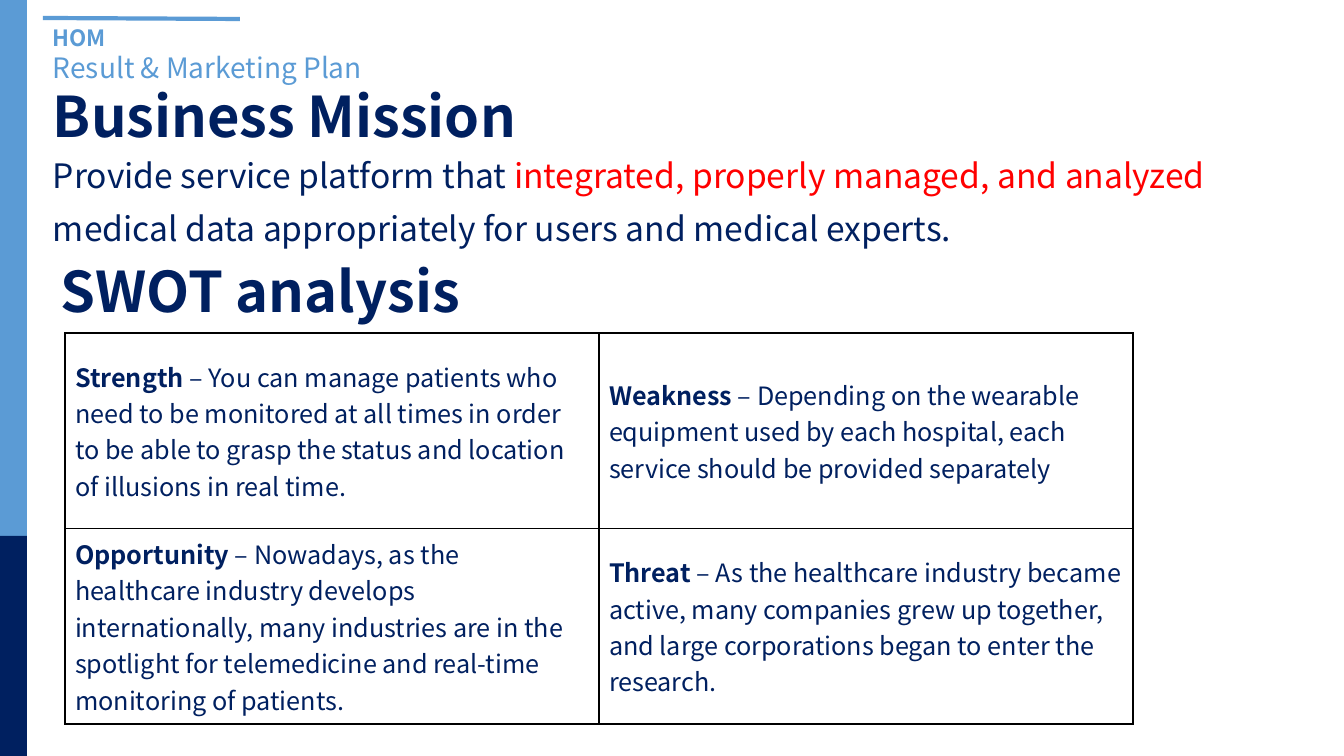
import dataclasses
import typing

import lxml.etree
import pptx
import pptx.dml.color
import pptx.enum.shapes
import pptx.enum.text
import pptx.oxml
import pptx.oxml.ns
import pptx.util

SCALE = 914400 / 100.8
FONT = "Noto Sans CJK KR"
NAVY, BLUE, RED, BLACK = "002060", "5B9BD5", "FF0000", "000000"
ANCHOR = pptx.enum.text.MSO_ANCHOR


@dataclasses.dataclass(frozen=True)
class Run:
    """A piece of text with one look."""
    text: str
    size: int
    color: str = NAVY
    bold: bool = False


@dataclasses.dataclass(frozen=True)
class Band:
    """A filled bar on the left edge."""
    top: int
    height: int
    color: str


@dataclasses.dataclass(frozen=True)
class Label:
    """A text box with one paragraph."""
    left: int
    top: int
    width: int
    height: int
    runs: tuple[Run, ...]
    spacing: float = 1.0
    before: int = 0
    middle: bool = False
    grow: bool = False


class Quad(typing.NamedTuple):
    """One cell of the SWOT table."""
    head: str
    body: str


BAND_WIDTH = 27
BANDS = (Band(0, 536, BLUE), Band(536, 220, NAVY))

LABELS = (
    Label(43, 46, 467, 44, (Run("Result & Marketing Plan", 20, BLUE),), grow=True),
    Label(43, 19, 215, 37, (Run("HOM", 16, BLUE, True),), grow=True),
    Label(43, 46, 1159, 146, (Run("Business Mission", 40, bold=True),), 0.9, middle=True),
    Label(43, 138, 1255, 480, (
        Run("Provide service platform that ", 24),
        Run("integrated, properly managed, and analyzed ", 24, RED),
        Run("medical data appropriately for users and medical experts.", 24),
    ), 1.3, 10),
    Label(51, 221, 1159, 146, (Run("SWOT analysis", 40, bold=True),), 0.9, middle=True),
)

SWOT = (
    (
        Quad("Strength", "You can manage patients who need to be monitored at all times in order "
             "to be able to grasp the status and location of illusions in real time."),
        Quad("Weakness", "Depending on the wearable equipment used by each hospital, "
             "each service should be provided separately"),
    ),
    (
        Quad("Opportunity", "Nowadays, as the healthcare industry develops internationally, many "
             "industries are in the spotlight for telemedicine and real-time monitoring of patients."),
        Quad("Threat", "As the healthcare industry became active, many companies grew up together, "
             "and large corporations began to enter the research."),
    ),
)


def px(count: float) -> pptx.util.Emu:
    """Turn px into EMU."""
    return pptx.util.Emu(round(count * SCALE))


def rgb(color: str) -> pptx.dml.color.RGBColor:
    """Turn a hex string into a colour."""
    return pptx.dml.color.RGBColor.from_string(color)


def add_runs(para: typing.Any, runs: typing.Iterable[Run]) -> None:
    """Write runs into a paragraph."""
    for item in runs:
        run = para.add_run()
        run.text = item.text
        run.font.name = FONT
        run.font.size = pptx.util.Pt(item.size)
        run.font.bold = item.bold
        run.font.color.rgb = rgb(item.color)


def add_band(slide: typing.Any, band: Band) -> None:
    """Draw one bar of the left edge."""
    shape = slide.shapes.add_shape(pptx.enum.shapes.MSO_SHAPE.RECTANGLE,
                                   0, px(band.top), px(BAND_WIDTH), px(band.height))
    shape.shadow.inherit = False
    shape.fill.solid()
    shape.fill.fore_color.rgb = rgb(band.color)
    shape.line.fill.background()


def add_rule(slide: typing.Any) -> None:
    """Draw the line above the header."""
    line = slide.shapes.add_connector(pptx.enum.shapes.MSO_CONNECTOR.STRAIGHT,
                                      px(43), px(18), px(240), px(19))
    line.line.color.rgb = rgb(BLUE)
    line.line.width = pptx.util.Pt(3)
    lxml.etree.SubElement(line._element.spPr, pptx.oxml.ns.qn("a:effectLst"))


def add_label(slide: typing.Any, label: Label) -> None:
    """Draw one text box."""
    box = slide.shapes.add_textbox(px(label.left), px(label.top), px(label.width), px(label.height))
    frame = box.text_frame
    frame.word_wrap = True
    frame.vertical_anchor = ANCHOR.MIDDLE if label.middle else ANCHOR.TOP
    if label.grow:
        frame.auto_size = pptx.enum.text.MSO_AUTO_SIZE.SHAPE_TO_FIT_TEXT
    para = frame.paragraphs[0]
    para.line_spacing = label.spacing
    para.space_before = pptx.util.Pt(label.before)
    add_runs(para, label.runs)


def add_edges(cell: typing.Any) -> None:
    """Give a cell thin black borders."""
    props = cell._tc.get_or_add_tcPr()
    for side in ("lnL", "lnR", "lnT", "lnB"):
        edge = lxml.etree.SubElement(props, pptx.oxml.ns.qn(f"a:{side}"), w=str(pptx.util.Pt(1)))
        fill = lxml.etree.SubElement(edge, pptx.oxml.ns.qn("a:solidFill"))
        lxml.etree.SubElement(fill, pptx.oxml.ns.qn("a:srgbClr"), val=BLACK)


def add_swot(slide: typing.Any) -> None:
    """Draw the SWOT table."""
    frame = slide.shapes.add_table(len(SWOT), len(SWOT[0]), px(65), px(333), px(1068), px(391))
    table = frame.table
    table.first_row = False
    table.horz_banding = False
    for row, quads in enumerate(SWOT):
        for col, quad in enumerate(quads):
            cell = table.cell(row, col)
            add_edges(cell)
            cell.fill.background()
            cell.vertical_anchor = ANCHOR.MIDDLE
            add_runs(cell.text_frame.paragraphs[0],
                     (Run(quad.head, 18, bold=True), Run(f" – {quad.body}", 18)))


def main() -> None:
    """Build and save the slide."""
    deck = pptx.Presentation()
    deck.slide_width, deck.slide_height = px(1344), px(756)
    slide = deck.slides.add_slide(deck.slide_layouts[6])
    for band in BANDS:
        add_band(slide, band)
    add_rule(slide)
    for label in LABELS:
        add_label(slide, label)
    add_swot(slide)
    deck.save("out.pptx")


if __name__ == "__main__":
    main()
